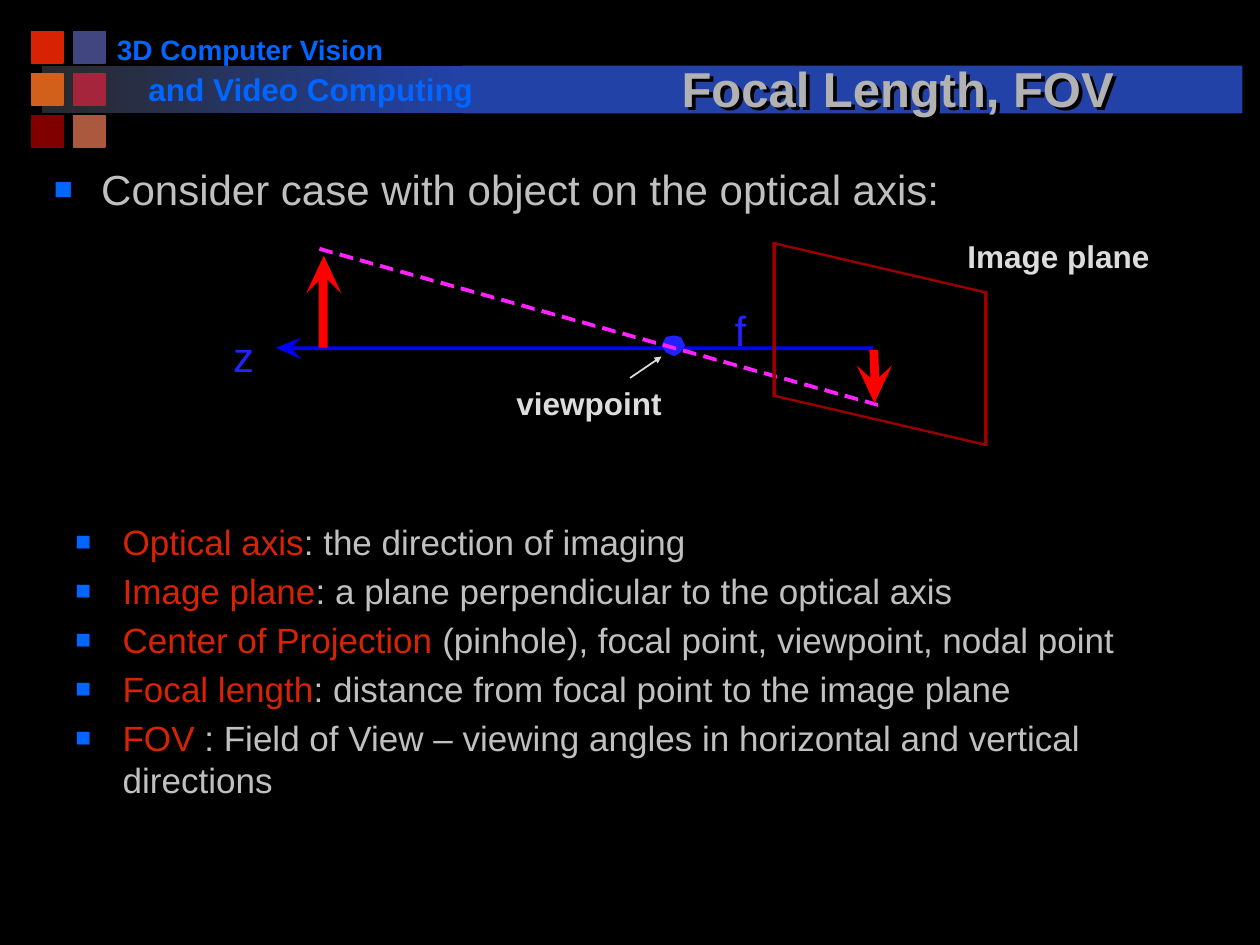
from lxml.etree import SubElement
from pptx import Presentation
from pptx.dml.color import RGBColor
from pptx.enum.shapes import MSO_CONNECTOR, MSO_SHAPE
from pptx.enum.text import MSO_ANCHOR, PP_ALIGN
from pptx.oxml.ns import qn
from pptx.util import Inches, Pt

FONT = "Arial"
AXIS = "0000FF"
POINT = "2222FF"
ARROW = "FF0000"
RAY = "FF22FF"
PLANE = "990000"
LABEL = "DDDDDD"
BRIGHT_BLUE = "0066FF"
BAR = "2242A8"
TERM = "D82204"
BODY = "C0C0C0"
DASH_COUNT = 28

LOGO_SQUARES = [["D82204", "424680"], ["D2601A", "A5253D"], ["800000", "AA583E"]]
DEFINITIONS = [
    [("Optical axis", TERM), (": the direction of imaging", BODY)],
    [("Image plane", TERM), (": a plane perpendicular to the optical axis", BODY)],
    [("Center of Projection", TERM), (" (pinhole), focal point, viewpoint, nodal point", BODY)],
    [("Focal length", TERM), (": distance from focal point to the image plane", BODY)],
    [("FOV", TERM), (" : Field of View – viewing angles in horizontal and vertical directions", BODY)],
]


def color(value):
    return RGBColor.from_string(value)


def style_shape(shape, fill, line=None):
    shape.shadow.inherit = False
    shape.fill.solid()
    shape.fill.fore_color.rgb = color(fill)
    if line:
        shape.line.color.rgb = color(line)
        shape.line.width = Pt(1)
    else:
        shape.line.fill.background()
    return shape


def add_rectangle(slide, box, fill, line=None):
    shape = slide.shapes.add_shape(MSO_SHAPE.RECTANGLE, *map(Inches, box))
    return style_shape(shape, fill, line)


def add_polygon(slide, points, fill, line=None):
    corners = [(Inches(x), Inches(y)) for x, y in points]
    builder = slide.shapes.build_freeform(*corners[0])
    builder.add_line_segments(corners[1:], close=True)
    return style_shape(builder.convert_to_shape(), fill, line)


def add_pointer(slide, start, end):
    connector = slide.shapes.add_connector(
        MSO_CONNECTOR.STRAIGHT, *map(Inches, start + end))
    connector.line.color.rgb = color(LABEL)
    connector.line.width = Pt(1)
    SubElement(connector.line._get_or_add_ln(), qn("a:tailEnd"),
               type="triangle", w="sm", len="sm")
    SubElement(connector._element.spPr, qn("a:effectLst"))


def add_run(paragraph, text, size, font_color, bold=False):
    run = paragraph.add_run()
    run.text = text
    run.font.name = FONT
    run.font.size = Pt(size)
    run.font.bold = bold
    run.font.color.rgb = color(font_color)


def add_label(slide, box, text, size, font_color, bold=True, inset=0.1):
    frame = slide.shapes.add_textbox(*map(Inches, box)).text_frame
    frame.word_wrap = False
    frame.margin_left = frame.margin_right = Inches(inset)
    frame.margin_top = frame.margin_bottom = Inches(inset / 2)
    add_run(frame.paragraphs[0], text, size, font_color, bold)


def add_bullets(slide, box, items, size):
    frame = slide.shapes.add_textbox(*map(Inches, box)).text_frame
    frame.word_wrap = True
    for index, runs in enumerate(items):
        paragraph = frame.add_paragraph() if index else frame.paragraphs[0]
        properties = paragraph._p.get_or_add_pPr()
        properties.set("marL", str(Pt(27)))
        properties.set("indent", str(Pt(-27)))
        bullet_color = SubElement(properties, qn("a:buClr"))
        SubElement(bullet_color, qn("a:srgbClr"), val=BRIGHT_BLUE)
        SubElement(properties, qn("a:buSzPct"), val="75000")
        SubElement(properties, qn("a:buFont"), typeface=FONT)
        SubElement(properties, qn("a:buChar"), char="■")
        if index:
            paragraph.space_before = Pt(size * 0.2)
        for text, font_color in runs:
            add_run(paragraph, text, size, font_color)


def add_header(slide):
    fade = add_rectangle(slide, (0.33, 0.52, 3.36, 0.38), BAR)
    fade.fill.gradient()
    fade.fill.gradient_angle = 0
    for stop, value in zip(fade.fill.gradient_stops, ("292929", BAR)):
        stop.color.rgb = color(value)
    add_rectangle(slide, (3.67, 0.52, 6.19, 0.38), BAR)
    for row, values in enumerate(LOGO_SQUARES):
        for column, value in enumerate(values):
            box = (0.25 + column / 3, 0.25 + row / 3, 0.25, 0.25)
            add_rectangle(slide, box, value, value)
    add_label(slide, (0.83, 0.21, 2.32, 0.37), "3D Computer Vision", 16, BRIGHT_BLUE)
    add_label(slide, (1.08, 0.51, 2.83, 0.4), "and Video Computing", 18, BRIGHT_BLUE)


def add_title(slide, text):
    title = slide.shapes.title
    title.left, title.top, title.width, title.height = map(Inches, (4.33, 0.31, 5.59, 0.67))
    title._element.getparent().append(title._element)
    title.fill.background()
    effects = SubElement(title._element.spPr, qn("a:effectLst"))
    shadow = SubElement(effects, qn("a:outerShdw"), dist=str(Pt(3)), dir="2700000")
    SubElement(shadow, qn("a:srgbClr"), val="000000")
    frame = title.text_frame
    frame.vertical_anchor = MSO_ANCHOR.BOTTOM
    paragraph = frame.paragraphs[0]
    paragraph.alignment = PP_ALIGN.CENTER
    add_run(paragraph, text, 28, "B2B2B2", True)


def add_ray(slide, first, last):
    step_x, step_y = [(b - a) / (DASH_COUNT - 1) for a, b in zip(first, last)]
    outline = [(0.11, 0.03), (0.11, 0.06), (0, 0.03), (0.01, 0)]
    for index in reversed(range(DASH_COUNT)):
        left, top = first[0] + index * step_x, first[1] + index * step_y
        add_polygon(slide, [(left + x, top + y) for x, y in outline], RAY)


def add_image_plane(slide, left, right, top, height, slope):
    half = 0.01
    for y in (top, top + height):
        add_polygon(slide, [(left, y - half), (right, y + slope - half),
                            (right, y + slope + half), (left, y + half)], PLANE)
    for x, y in ((left, top), (right, top + slope)):
        add_rectangle(slide, (x - half, y - half, 0.03, height + 2 * half), PLANE)


def add_diagram(slide):
    add_rectangle(slide, (2.28, 2.75, 4.65, 0.03), AXIS)
    add_polygon(slide, [(2.19, 2.76), (2.39, 2.68), (2.31, 2.76), (2.39, 2.85)], AXIS)
    add_rectangle(slide, (2.53, 2.18, 0.07, 0.58), ARROW)
    add_polygon(slide, [(2.57, 2.03), (2.43, 2.33), (2.57, 2.19), (2.71, 2.33)], ARROW)
    add_polygon(slide, [(5.43, 2.74), (5.4, 2.79), (5.35, 2.82), (5.29, 2.79),
                        (5.26, 2.74), (5.29, 2.68), (5.35, 2.67), (5.4, 2.68)],
                POINT, POINT)
    add_ray(slide, (2.53, 1.96), (6.86, 3.17))
    add_image_plane(slide, 6.14, 7.82, 1.93, 1.21, 0.39)
    add_polygon(slide, [(6.9, 2.78), (6.97, 2.78), (6.98, 3.05), (6.91, 3.05)], ARROW)
    add_polygon(slide, [(6.94, 3.2), (6.8, 2.9), (6.94, 3.03), (7.08, 2.9)], ARROW)
    add_label(slide, (5.83, 2.42, 0.25, 0.46), "f", 24, POINT, False, 0)
    add_label(slide, (1.85, 2.62, 0.32, 0.46), "z", 24, POINT, False, 0)
    add_label(slide, (4, 3, 1.58, 0.4), "viewpoint", 18, LABEL)
    add_pointer(slide, (5, 3), (5.25, 2.83))
    add_label(slide, (7.58, 1.83, 2, 0.4), "Image plane", 18, LABEL)


def main():
    presentation = Presentation()
    presentation.slide_width = Inches(10)
    presentation.slide_height = Inches(7.5)
    slide = presentation.slides.add_slide(presentation.slide_layouts[5])
    slide.background.fill.solid()
    slide.background.fill.fore_color.rgb = color("000000")
    add_header(slide)
    add_title(slide, "Focal Length, FOV")
    add_bullets(slide, (0.33, 1.25, 8.58, 0.5),
                [[("Consider case with object on the optical axis:", BODY)]], 24)
    add_bullets(slide, (0.5, 4.08, 9.17, 3.25), DEFINITIONS, 20)
    add_diagram(slide)
    presentation.save("out.pptx")


if __name__ == "__main__":
    main()
